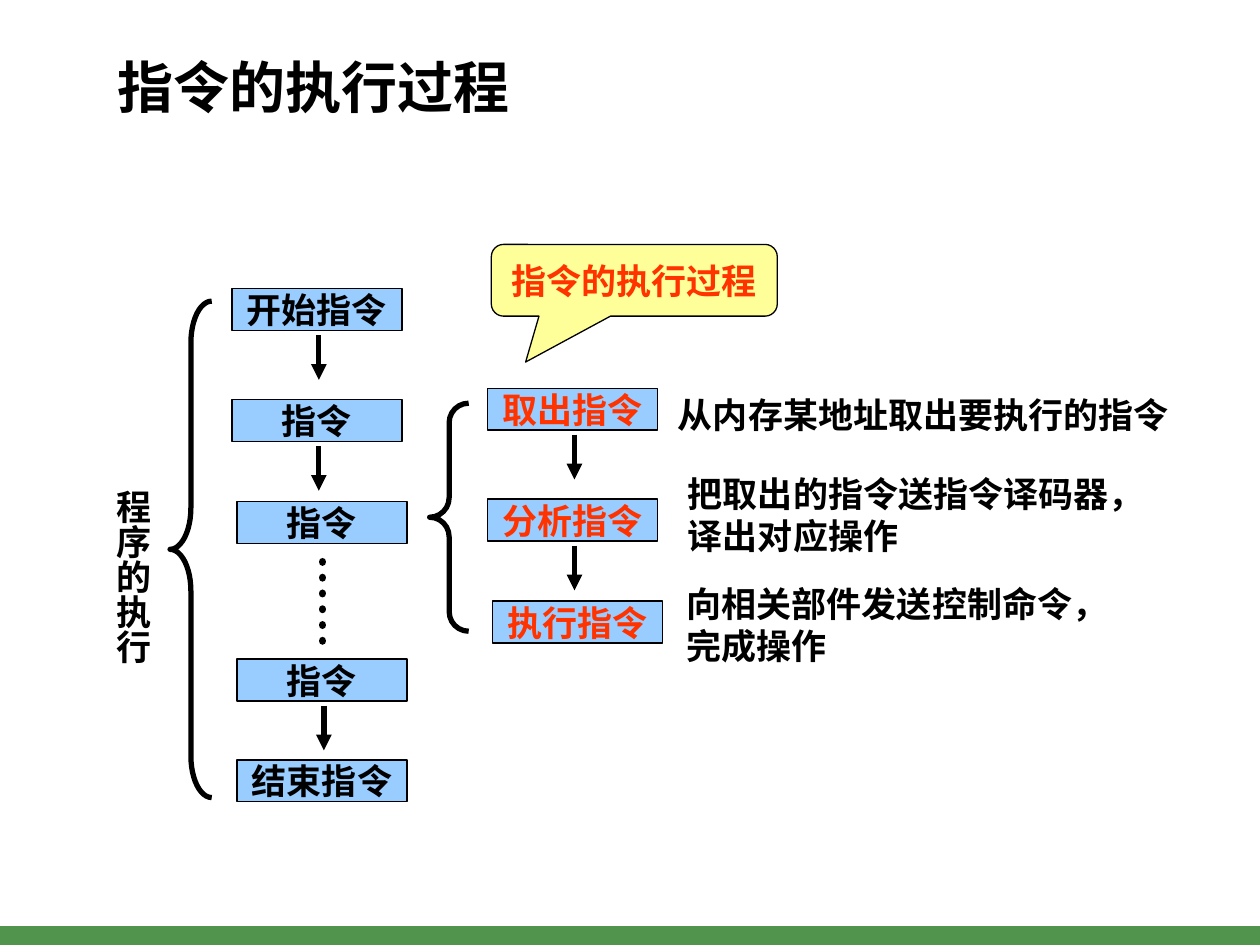
import dataclasses

import lxml.etree
import pptx
import pptx.dml.color
import pptx.enum.dml
import pptx.enum.shapes
import pptx.enum.text
import pptx.oxml.ns
import pptx.util

Pt = pptx.util.Pt
Shape = pptx.enum.shapes.MSO_SHAPE
Align = pptx.enum.text.PP_ALIGN
Anchor = pptx.enum.text.MSO_ANCHOR


@dataclasses.dataclass(frozen=True)
class Theme:
    """Colours, fonts and type sizes."""
    ink: str = "000000"
    accent: str = "FF3300"
    box: str = "99CCFF"
    callout: str = "FFFF99"
    footer: str = "51944E"
    title_font: str = "DejaVu Sans"
    body_font: str = "Noto Sans CJK SC"
    title_size: int = 32
    body_size: int = 20


THEME = Theme()


def rgb(value):
    """Turn a hex string into a colour."""
    return pptx.dml.color.RGBColor.from_string(value)


def add_child(parent, tag, **attributes):
    """Append a DrawingML element."""
    return lxml.etree.SubElement(parent, pptx.oxml.ns.qn(tag), attributes)


def write_text(shape, text, font=THEME.body_font, size=THEME.body_size, color=THEME.ink,
               align=Align.LEFT, anchor=Anchor.TOP, margins=(0, 0), wrap=True):
    """Fill a shape with bold text, one paragraph per line."""
    frame = shape.text_frame
    frame.text = text
    frame.word_wrap = wrap
    frame.auto_size = pptx.enum.text.MSO_AUTO_SIZE.NONE
    frame.vertical_anchor = anchor
    frame.margin_left = frame.margin_right = Pt(margins[0])
    frame.margin_top = frame.margin_bottom = Pt(margins[1])
    for paragraph in frame.paragraphs:
        paragraph.alignment = align
        for run in paragraph.runs:
            run.font.name = font
            run.font.size = Pt(size)
            run.font.bold = True
            run.font.color.rgb = rgb(color)
            add_child(run.font._element, "a:ea", typeface=font)


class Canvas:
    """Draws styled elements on one slide."""

    def __init__(self, slide, theme):
        """Keep the slide and the theme."""
        self.slide = slide
        self.theme = theme

    def title(self, text, *frame):
        """Place the title placeholder."""
        shape = self.slide.shapes.title
        shape.left, shape.top, shape.width, shape.height = map(Pt, frame)
        write_text(shape, text, font=self.theme.title_font, size=self.theme.title_size,
                   anchor=Anchor.MIDDLE, margins=(7.2, 3.6))

    def shape(self, kind, *frame, fill=None, line_width=0.75):
        """Add a preset shape."""
        shape = self.slide.shapes.add_shape(kind, *map(Pt, frame))
        shape.shadow.inherit = False
        if fill:
            shape.fill.solid()
            shape.fill.fore_color.rgb = rgb(fill)
        else:
            shape.fill.background()
        if line_width:
            shape.line.color.rgb = rgb(self.theme.ink)
            shape.line.width = Pt(line_width)
        else:
            shape.line.fill.background()
        return shape

    def box(self, text, left, top, color):
        """Add an instruction box."""
        shape = self.shape(Shape.RECTANGLE, left, top, 97.2, 24, fill=self.theme.box)
        write_text(shape, text, color=color, align=Align.CENTER, anchor=Anchor.MIDDLE)

    def line(self, x, top, bottom, width=3):
        """Add a vertical line."""
        line = self.slide.shapes.add_connector(
            pptx.enum.shapes.MSO_CONNECTOR.STRAIGHT, Pt(x), Pt(top), Pt(x), Pt(bottom))
        line.line.color.rgb = rgb(self.theme.ink)
        line.line.width = Pt(width)
        add_child(line.element.spPr, "a:effectLst")
        return line

    def arrow(self, x, top):
        """Add a downward arrow."""
        line = self.line(x, top, top + 25.6)
        add_child(line.line._get_or_add_ln(), "a:tailEnd", type="triangle")

    def dots(self, x, top, bottom):
        """Add a line of round dots."""
        line = self.line(x, top, bottom, width=4.5)
        line.line.dash_style = pptx.enum.dml.MSO_LINE.ROUND_DOT
        line.line._get_or_add_ln().set("cap", "rnd")

    def chain(self, steps, left, top, color):
        """Stack boxes, with an arrow below each one that leads on."""
        for text, shift, drop, leads_on in steps:
            self.box(text, left + shift, top + drop, color)
            if leads_on:
                self.arrow(left + shift + 49.7, top + drop + 26.6)

    def brace(self, *frame, curve):
        """Add a left brace."""
        shape = self.shape(Shape.LEFT_BRACE, *frame, line_width=3)
        shape.adjustments[0] = curve

    def callout(self, text, *frame):
        """Add a speech bubble."""
        shape = self.shape(Shape.ROUNDED_RECTANGULAR_CALLOUT, *frame, fill=self.theme.callout)
        for index, value in enumerate((-0.38, 1.14, 0.17)):
            shape.adjustments[index] = value
        write_text(shape, text, color=self.theme.accent, align=Align.CENTER,
                   anchor=Anchor.MIDDLE, wrap=False)

    def label(self, text, *frame, vertical=False, wrap=True):
        """Add a text box."""
        shape = self.slide.shapes.add_textbox(*map(Pt, frame))
        write_text(shape, text, wrap=wrap)
        if vertical:
            shape.element.txBody.bodyPr.set("vert", "eaVert")


def main():
    """Build and save the slide."""
    presentation = pptx.Presentation()
    presentation.slide_width, presentation.slide_height = Pt(720), Pt(540)
    slide = presentation.slides.add_slide(presentation.slide_layouts[5])
    canvas = Canvas(slide, THEME)
    canvas.shape(Shape.RECTANGLE, 0, 529.2, 720, 10.8, fill=THEME.footer, line_width=0)
    canvas.title("指令的执行过程", 59.8, 25.9, 487.4, 46.1)

    program = [("开始指令", 0, 0, True), ("指令", 0, 63.4, True), ("指令", 2.9, 121.7, False),
               ("指令", 2.9, 211.7, True), ("结束指令", 2.9, 269.3, False)]
    canvas.chain(program, 132.5, 164.9, THEME.ink)
    canvas.dots(184.3, 321.1, 372.2)
    canvas.brace(97.2, 172.1, 23.8, 283.7, curve=1)
    canvas.label("程序的执行", 64.1, 279.6, 23.8, 120, vertical=True)

    cycle = [("取出指令", 0, 0, True), ("分析指令", 0, 63.4, True), ("执行指令", 2.9, 121.7, False)]
    canvas.callout("指令的执行过程", 280.8, 139.7, 163.4, 41)
    canvas.chain(cycle, 278.6, 221.8, THEME.accent)
    canvas.brace(245.5, 230.4, 22.3, 130.3, curve=0.5)

    canvas.label("从内存某地址取出要执行的指令", 387.4, 224.6, 283.7, 24)
    canvas.label("把取出的指令送指令译码器，译出对应操作", 393.1, 270, 266.4, 48)
    canvas.label("向相关部件发送控制命令，\n完成操作", 392.4, 332.6, 240.5, 48, wrap=False)

    presentation.save("out.pptx")


if __name__ == "__main__":
    main()
